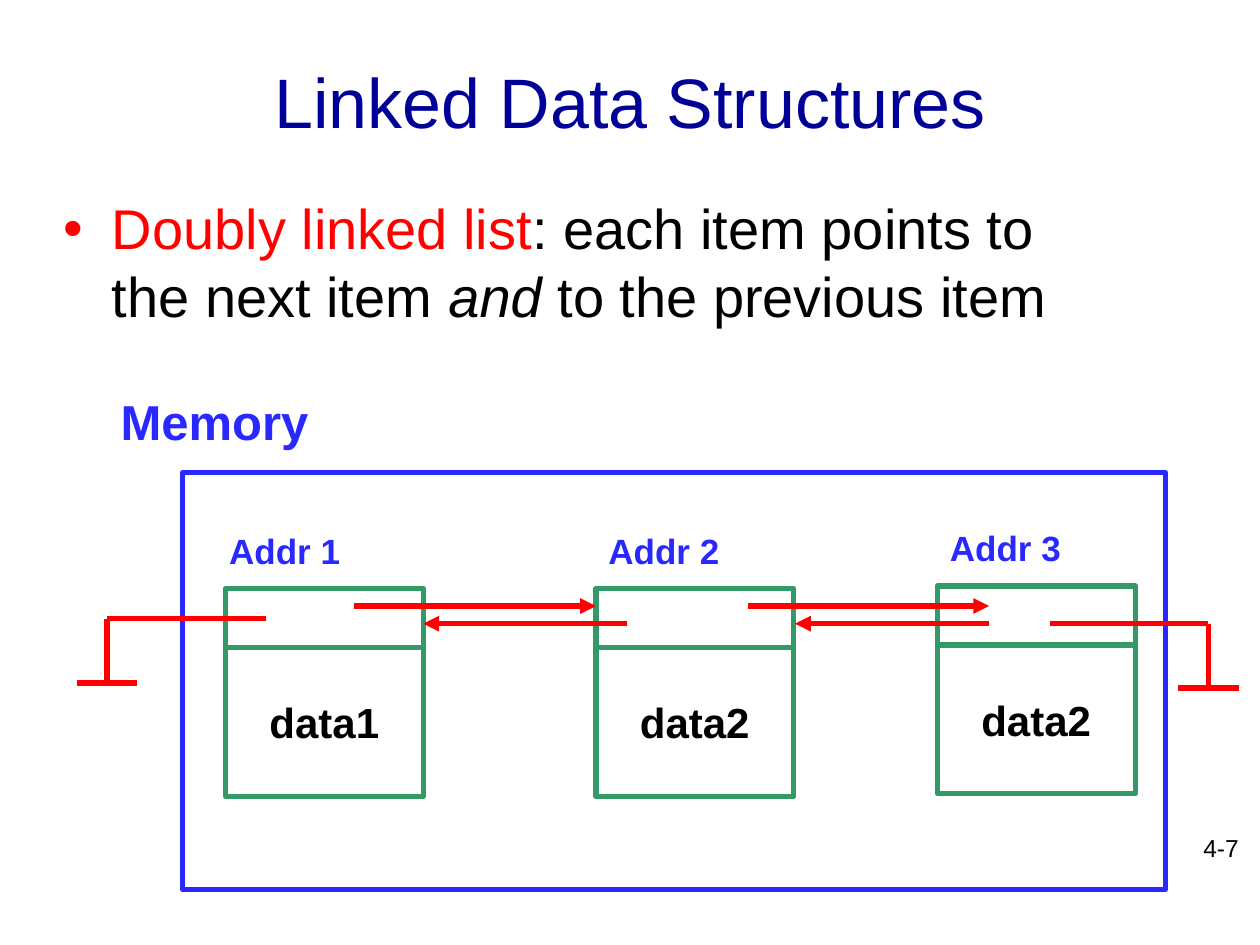
from pptx import Presentation
from pptx.dml.color import RGBColor
from pptx.enum.shapes import MSO_CONNECTOR, MSO_SHAPE
from pptx.enum.text import MSO_ANCHOR, PP_ALIGN
from pptx.oxml.ns import qn
from pptx.util import Inches, Pt
from lxml.etree import SubElement

COLORS = {
    "title": "000099",
    "text": "000000",
    "pointer": "FF0000",
    "node": "339966",
    "memory": "2929FF",
}


class SlideBuilder:
    font_name = "Arial"
    line_width = Pt(3)

    def __init__(self, slide):
        self.slide = slide

    def color(self, name):
        return RGBColor.from_string(COLORS[name])

    def format_font(self, font, size, color, bold=False, italic=False):
        font.name = self.font_name
        font.size = Pt(size)
        font.color.rgb = self.color(color)
        font.bold = bold
        font.italic = italic

    def text(self, text, left, top, width, height, size, color, bold=False,
             align=PP_ALIGN.LEFT, anchor=MSO_ANCHOR.TOP, wrap=False):
        box = self.slide.shapes.add_textbox(
            Inches(left), Inches(top), Inches(width), Inches(height))
        frame = box.text_frame
        frame.word_wrap = wrap
        frame.vertical_anchor = anchor
        frame.text = text
        paragraph = frame.paragraphs[0]
        paragraph.alignment = align
        for run in paragraph.runs:
            self.format_font(run.font, size, color, bold)

    def bullet(self, parts, left, top, width, height, size):
        """Add one bulleted paragraph from (text, color, italic) parts."""
        box = self.slide.shapes.add_textbox(
            Inches(left), Inches(top), Inches(width), Inches(height))
        box.text_frame.word_wrap = True
        paragraph = box.text_frame.paragraphs[0]
        properties = paragraph._p.get_or_add_pPr()
        indent = Inches(0.38)
        properties.set("marL", str(indent))
        properties.set("indent", str(-indent))
        SubElement(properties, qn("a:buFont")).set("typeface", self.font_name)
        SubElement(properties, qn("a:buChar")).set("char", "•")
        for text, color, italic in parts:
            run = paragraph.add_run()
            run.text = text
            self.format_font(run.font, size, color, italic=italic)

    def rectangle(self, left, top, width, height, color):
        shape = self.slide.shapes.add_shape(
            MSO_SHAPE.RECTANGLE,
            Inches(left), Inches(top), Inches(width), Inches(height))
        shape.shadow.inherit = False
        shape.fill.background()
        shape.line.color.rgb = self.color(color)
        shape.line.width = self.line_width

    def line(self, start, end, color, arrow=False):
        connector = self.slide.shapes.add_connector(
            MSO_CONNECTOR.STRAIGHT,
            *(Inches(value) for value in (*start, *end)))
        connector.line.color.rgb = self.color(color)
        connector.line.width = self.line_width
        if arrow:
            SubElement(connector.line._get_or_add_ln(),
                       qn("a:tailEnd")).set("type", "triangle")
        SubElement(connector._element.spPr, qn("a:effectLst"))

    def node(self, left, top, address, data):
        """Add a list item: pointer field above, data field below."""
        width, divider = 1.57, top + 0.47
        self.rectangle(left, top, width, 1.65, "node")
        self.line((left, divider), (left + width, divider), "node")
        self.text(data, left + 0.25, top + 0.81, 1.08, 0.51, 24, "text",
                  bold=True)
        self.text(address[0], address[1], top - 0.52, 1.09, 0.44, 20,
                  "memory", bold=True)

    def null_pointer(self, start_x, y, direction):
        """Add a pointer that runs outward and ends in a ground bar."""
        corner = start_x + direction * 1.26
        bottom = y + 0.51
        self.line((start_x, y), (corner, y), "pointer")
        self.line((corner, y), (corner, bottom), "pointer")
        self.line((corner - 0.24, bottom), (corner + 0.24, bottom), "pointer")


def main():
    presentation = Presentation()
    presentation.slide_width = Inches(10)
    presentation.slide_height = Inches(7.5)
    slide = presentation.slides.add_slide(presentation.slide_layouts[6])
    builder = SlideBuilder(slide)

    # Title, statement and slide number
    builder.text("Linked Data Structures", 0.75, 0.17, 8.5, 1.25, 40, "title",
                 align=PP_ALIGN.CENTER, anchor=MSO_ANCHOR.MIDDLE, wrap=True)
    builder.bullet([
        ("Doubly linked list", "pointer", False),
        (": each item points to the next item ", "text", False),
        ("and", "text", True),
        (" to the previous item", "text", False),
    ], 0.41, 1.49, 8.5, 1.15, 32)
    builder.text("4-7", 7.85, 6.56, 2.08, 0.5, 14, "text",
                 align=PP_ALIGN.RIGHT, wrap=True)

    # Memory area
    builder.rectangle(1.45, 3.75, 7.8, 3.31, "memory")
    builder.text("Memory", 0.86, 3.06, 1.71, 0.57, 28, "memory", bold=True)

    # List items
    for left, top, address, data in [
        (1.79, 4.67, ("Addr 1", 1.72), "data1"),
        (4.73, 4.67, ("Addr 2", 4.73), "data2"),
        (7.44, 4.65, ("Addr 3", 7.44), "data2"),
    ]:
        builder.node(left, top, address, data)

    # Pointers to the next item, then to the previous item
    for y, spans in [
        (4.81, [(2.81, 4.73), (5.94, 7.85)]),
        (4.95, [(7.85, 6.31), (4.98, 3.36)]),
    ]:
        for start, end in spans:
            builder.line((start, y), (end, y), "pointer", arrow=True)

    # Null pointers at both ends of the list
    builder.null_pointer(2.11, 4.91, -1)
    builder.null_pointer(8.33, 4.95, 1)

    presentation.save("out.pptx")


if __name__ == "__main__":
    main()
